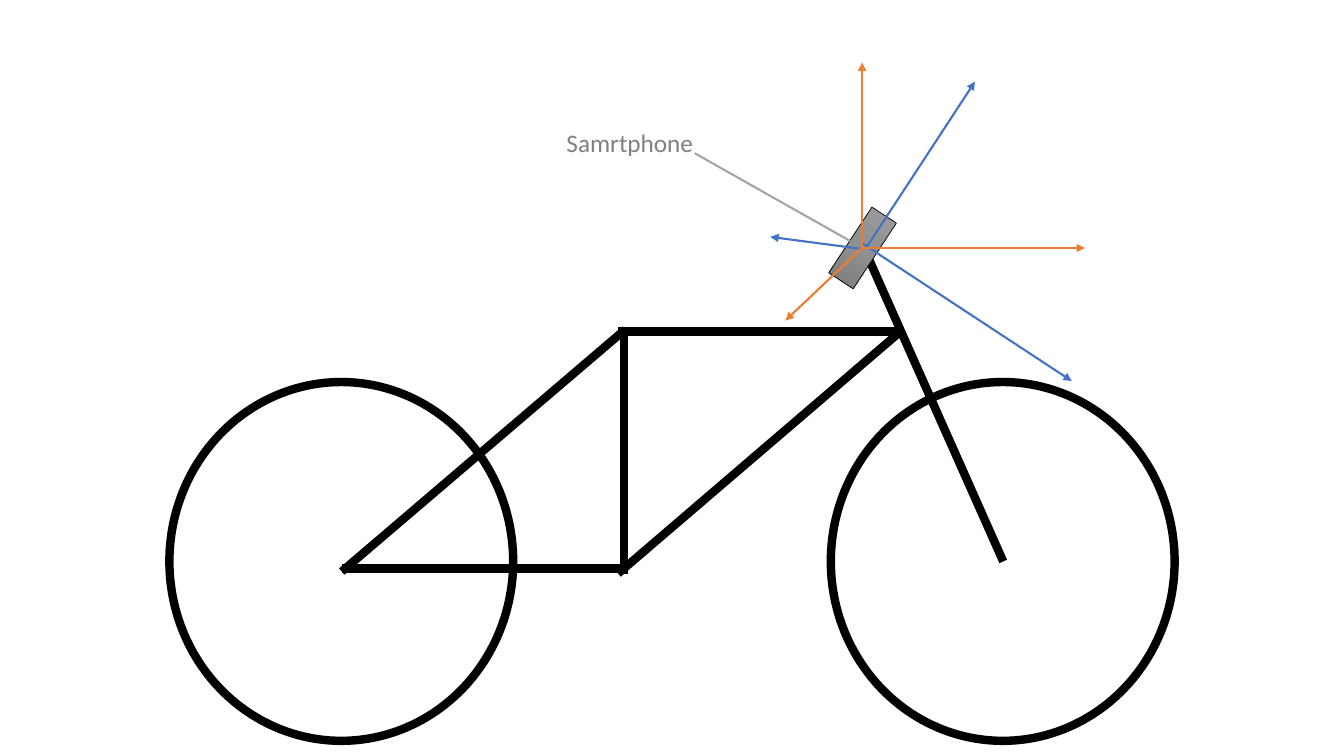
from copy import deepcopy

from lxml.etree import SubElement
from pptx import Presentation
from pptx.dml.color import RGBColor
from pptx.enum.shapes import MSO_CONNECTOR, MSO_SHAPE
from pptx.enum.text import MSO_AUTO_SIZE
from pptx.oxml.ns import qn
from pptx.util import Inches, Pt

BLACK = RGBColor(0x00, 0x00, 0x00)
BLUE = RGBColor(0x44, 0x72, 0xC4)
ORANGE = RGBColor(0xED, 0x7D, 0x31)
LEADER_GRAY = RGBColor(0xA5, 0xA5, 0xA5)
LABEL_GRAY = RGBColor(0x80, 0x80, 0x80)
PHONE_TOP = RGBColor(0x9D, 0x9D, 0x9D)
PHONE_MIDDLE = RGBColor(0x90, 0x90, 0x90)
PHONE_BOTTOM = RGBColor(0x7C, 0x7C, 0x7C)

FRAME_WEIGHT = 6
AXIS_WEIGHT = 1.5


def add_line(shapes, origin, start, end, color, weight, arrow=False):
    """Draw a straight line between two points measured from origin."""
    left, top = origin
    line = shapes.add_connector(
        MSO_CONNECTOR.STRAIGHT,
        Inches(left + start[0]), Inches(top + start[1]),
        Inches(left + end[0]), Inches(top + end[1]))
    line.line.color.rgb = color
    line.line.width = Pt(weight)
    if arrow:
        SubElement(line.line._get_or_add_ln(), qn("a:tailEnd"), type="triangle")
    SubElement(line._element.spPr, qn("a:effectLst"))


def add_bicycle(shapes, left, top):
    """Wheels and frame, with the rear wheel's corner at left, top + 1.44."""
    # Wheels
    for wheel_left in (0, 6.56):
        wheel = shapes.add_shape(
            MSO_SHAPE.OVAL, Inches(left + wheel_left), Inches(top + 1.44),
            Inches(3.41), Inches(3.56))
        wheel.shadow.inherit = False
        wheel.fill.background()
        wheel.line.color.rgb = BLACK
        wheel.line.width = Pt(FRAME_WEIGHT)

    # Fork and frame tubes
    tubes = [
        ((8.27, 3.22), (6.84, 0)),        # fork
        ((7.25, 0.94), (4.45, 3.34)),     # down tube
        ((7.22, 0.94), (4.45, 0.94)),     # top tube
        ((4.51, 3.34), (4.51, 0.94)),     # seat tube
        ((4.52, 0.92), (1.71, 3.32)),     # seat stay
        ((4.48, 3.29), (1.71, 3.29)),     # chain stay
    ]
    for start, end in tubes:
        add_line(shapes, (left, top), start, end, BLACK, FRAME_WEIGHT)


def add_phone(shapes, left, top, width, height):
    """Tilted phone body with a gray gradient."""
    phone = shapes.add_shape(MSO_SHAPE.RECTANGLE, Inches(left), Inches(top),
                             Inches(width), Inches(height))
    phone.rotation = 33.3
    phone.shadow.inherit = False
    phone.line.color.rgb = BLACK
    phone.line.width = Pt(0.5)
    phone.fill.gradient()
    phone.fill.gradient_angle = 270
    first_stop = phone.fill.gradient_stops[0]._gs
    first_stop.addnext(deepcopy(first_stop))
    shades = (PHONE_TOP, PHONE_MIDDLE, PHONE_BOTTOM)
    for stop, shade, position in zip(phone.fill.gradient_stops, shades, (0, 0.5, 1)):
        stop.color.rgb = shade
        stop.position = position


def add_axes(shapes, left, top):
    """Phone axes in blue and world axes in orange around one center."""
    center = (0, 0)
    axes = [
        (BLUE, (0.04, 0), (1.12, -1.65)),
        (BLUE, (0.01, -0.04), (2.08, 1.32)),
        (BLUE, (0, 0.01), (-0.91, -0.11)),
        (ORANGE, center, (2.21, 0)),
        (ORANGE, center, (0, -1.84)),
        (ORANGE, center, (-0.76, 0.72)),
    ]
    for color, start, end in axes:
        add_line(shapes, (left, top), start, end, color, AXIS_WEIGHT, arrow=True)


def add_phone_label(shapes, left, top, width, height):
    """Label text and the leader line from the phone to it."""
    add_line(shapes, (left, top), (2.91, 1.18), (1.37, 0.31),
             LEADER_GRAY, AXIS_WEIGHT)
    label = shapes.add_textbox(Inches(left), Inches(top),
                               Inches(width), Inches(height)).text_frame
    label.word_wrap = True
    label.auto_size = MSO_AUTO_SIZE.SHAPE_TO_FIT_TEXT
    caption = label.paragraphs[0]
    caption.text = "Samrtphone"
    caption.font.name = "Calibri"
    caption.font.size = Pt(18)
    caption.font.color.rgb = LABEL_GRAY


def main():
    deck = Presentation()
    deck.slide_width = Inches(13.33)
    deck.slide_height = Inches(7.5)
    slide = deck.slides.add_slide(deck.slide_layouts[6])

    diagram = slide.shapes.add_group_shape().shapes
    add_bicycle(diagram, 1.68, 2.35)
    add_phone(diagram, 8.41, 2.07, 0.29, 0.78)
    add_axes(diagram, 8.55, 2.46)
    add_phone_label(slide.shapes, 5.52, 1.21, 2.71, 0.37)

    deck.save("out.pptx")


if __name__ == "__main__":
    main()
